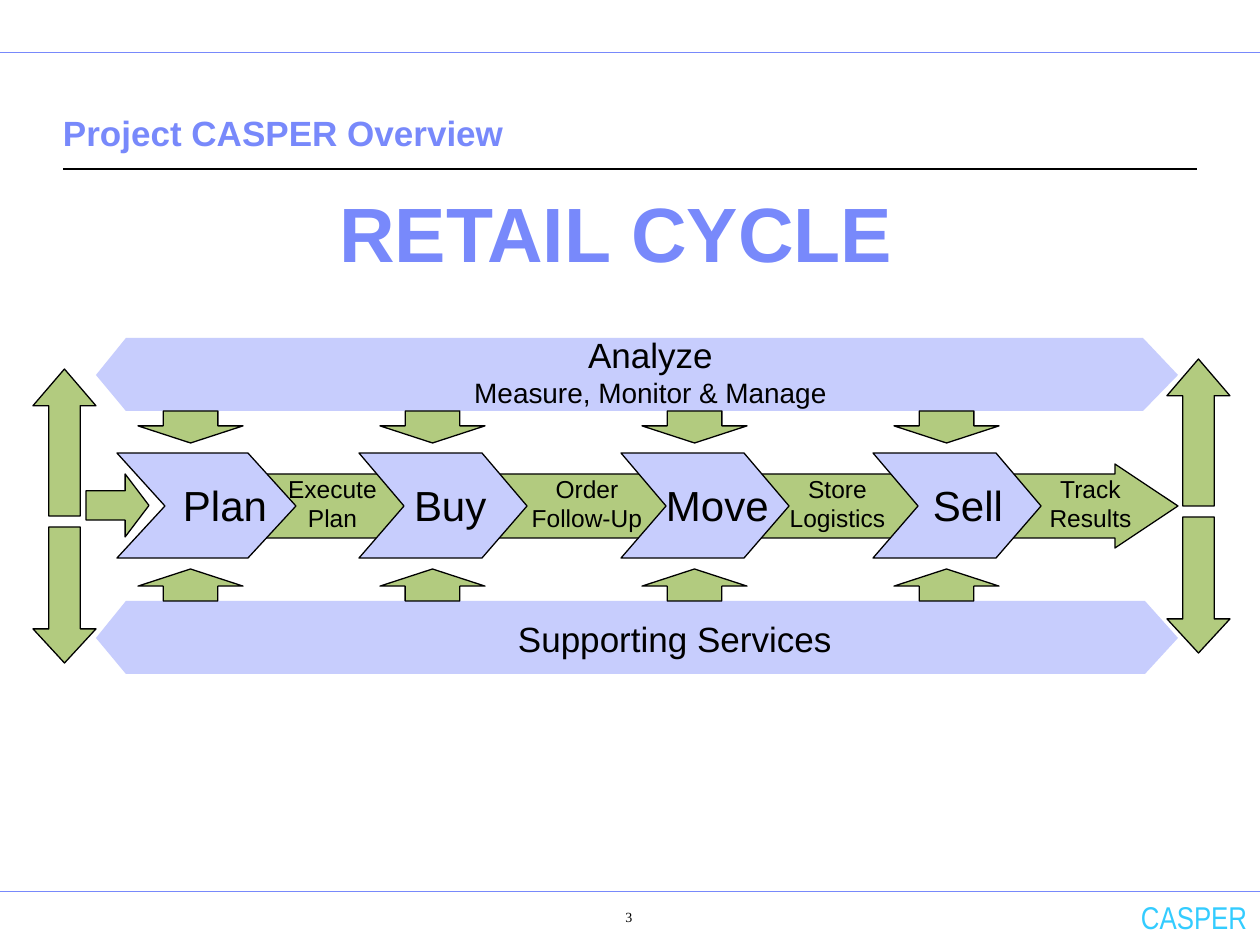
from lxml import etree
from pptx import Presentation
from pptx.dml.color import RGBColor
from pptx.enum.shapes import MSO_CONNECTOR, MSO_SHAPE
from pptx.enum.text import MSO_ANCHOR, MSO_AUTO_SIZE, PP_ALIGN
from pptx.oxml.ns import qn
from pptx.util import Emu, Pt

PX = 914400 / 126
UP, RIGHT = MSO_SHAPE.UP_ARROW, MSO_SHAPE.RIGHT_ARROW
LEFT, CENTER = PP_ALIGN.LEFT, PP_ALIGN.CENTER
TOP, MIDDLE, BOTTOM = MSO_ANCHOR.TOP, MSO_ANCHOR.MIDDLE, MSO_ANCHOR.BOTTOM
BLACK, INDIGO, LILAC, GREEN = "000000", "7889FB", "C7CDFD", "669900"

prs = Presentation()
prs.slide_width, prs.slide_height = Emu(round(1260 * PX)), Emu(round(945 * PX))
slide = prs.slides.add_slide(prs.slide_layouts[6])
shapes = slide.shapes


def paint(shape, fill, outlined=True):
    """Fill a shape; green is laid on half transparent."""
    shape.shadow.inherit = False
    shape.fill.solid()
    shape.fill.fore_color.rgb = RGBColor.from_string(fill)
    if fill == GREEN:
        color = shape.fill._xPr.find(".//" + qn("a:srgbClr"))
        etree.SubElement(color, qn("a:alpha"), val="50000")
    if outlined:
        shape.line.color.rgb = RGBColor.from_string(BLACK)
        shape.line.width = Pt(0.75)
    else:
        shape.line.fill.background()


def write(place, lines, align=CENTER, color=BLACK, font="Arial", bold=False,
          anchor=TOP, wrap=False, margins=(13, 6, 13, 6)):
    """Add a text box; lines holds a (text, point size) pair per paragraph."""
    box = shapes.add_textbox(*(Emu(round(v * PX)) for v in place))
    frame = box.text_frame
    frame.word_wrap = wrap
    frame.auto_size = MSO_AUTO_SIZE.NONE
    frame.vertical_anchor = anchor
    (frame.margin_left, frame.margin_top, frame.margin_right,
     frame.margin_bottom) = (Emu(round(m * PX)) for m in margins)
    frame.text = "\n".join(text for text, _ in lines)
    for paragraph, (_, size) in zip(frame.paragraphs, lines):
        paragraph.alignment = align
        run_font = paragraph.runs[0].font
        run_font.name, run_font.size, run_font.bold = font, Pt(size), bold
        run_font.color.rgb = RGBColor.from_string(color)


# Rules and headings
for left, right, y, color, width in [
    (0, 1260, 52, INDIGO, 0.5),
    (0, 1260, 891, INDIGO, 0.5),
    (63, 1197, 169, BLACK, 0.75),
]:
    rule = shapes.add_connector(
        MSO_CONNECTOR.STRAIGHT, *(Emu(round(v * PX)) for v in (left, y, right, y)))
    rule.line.color.rgb = RGBColor.from_string(color)
    rule.line.width = Pt(width)
    etree.SubElement(rule._element.spPr, qn("a:effectLst"))

write((1128, 896, 132, 42), [("CASPER", 18)], LEFT, "33CCFF", "Arial Narrow",
      anchor=MIDDLE)
heading = dict(color=INDIGO, bold=True, anchor=BOTTOM, wrap=True, margins=(0, 6, 0, 6))
write((96, 223, 1040, 61), [("RETAIL CYCLE", 44)], **heading)
write((63, 80, 1134, 79), [("Project CASPER Overview", 20)], LEFT, **heading)

# Bands, flow arrow and stage chevrons
outlines = []
for top, shoulder in [(338, 1143), (601, 1145)]:
    middle, bottom = top + 37, top + 73
    outlines += [
        ([(212, top), (shoulder, top), (1178, middle), (shoulder, bottom),
          (212, bottom)], LILAC, False),
        ([(212, bottom), (126, bottom), (96, middle), (126, top), (212, top)],
         LILAC, False),
    ]
outlines.append((
    [(243, 474), (1115, 474), (1115, 464), (1178, 506), (1115, 548),
     (1115, 538), (243, 538), (291, 506)], GREEN, True))
for left, shoulder, tip, notch in [
    (117, 131, 179, 48), (359, 123, 168, 45), (621, 123, 168, 45), (873, 123, 168, 45),
]:
    outlines.append((
        [(left, 453), (left + shoulder, 453), (left + tip, 506),
         (left + shoulder, 558), (left, 558), (left + notch, 506)], LILAC, True))

for points, fill, outlined in outlines:
    builder = shapes.build_freeform(*points[0], scale=PX)
    builder.add_line_segments(points[1:], close=True)
    paint(builder.convert_to_shape(), fill, outlined)

# Block arrows
arrows = [
    (UP, (1167, 359, 63, 147), 0, (0.5, 0.583)),
    (UP, (1167, 517, 63, 136), 180, (0.5, 0.542)),
    (UP, (33, 369, 63, 147), 0, (0.5, 0.583)),
    (UP, (33, 527, 63, 136), 180, (0.5, 0.542)),
    (RIGHT, (86, 474, 63, 63), 0, (0.463, 0.378)),
]
for left in (138, 380, 642, 894):
    arrows += [(UP, (left, top, 105, 32), turn, (0.521, 0.535))
               for top, turn in ((411, 180), (569, 0))]

for kind, place, turn, adjustments in arrows:
    arrow = shapes.add_shape(kind, *(Emu(round(v * PX)) for v in place))
    arrow.rotation = turn
    for i, value in enumerate(adjustments):
        arrow.adjustments[i] = value
    paint(arrow, GREEN)

# Labels
for stage, left, width in [
    ("Plan", 170, 108), ("Buy", 401, 97), ("Move", 653, 127), ("Sell", 920, 95),
]:
    write((left, 474, width, 63), [(stage, 24)], LEFT)
for first, second, left, width in [
    ("Execute", "Plan", 276, 113),
    ("Order", "Follow-Up", 519, 136),
    ("Store", "Logistics", 777, 121),
    ("Track", "Results", 1037, 107),
]:
    write((left, 468, width, 72), [(first, 14), (second, 14)])
write((462, 328, 377, 88), [("Analyze", 20), ("Measure, Monitor & Manage", 16)])
write((505, 611, 339, 55), [("Supporting Services", 20)], LEFT)
write((538, 900, 145, 44), [("3", 8)], font="Times New Roman", wrap=True,
      margins=(50, 9, 13, 6))

prs.save("out.pptx")
